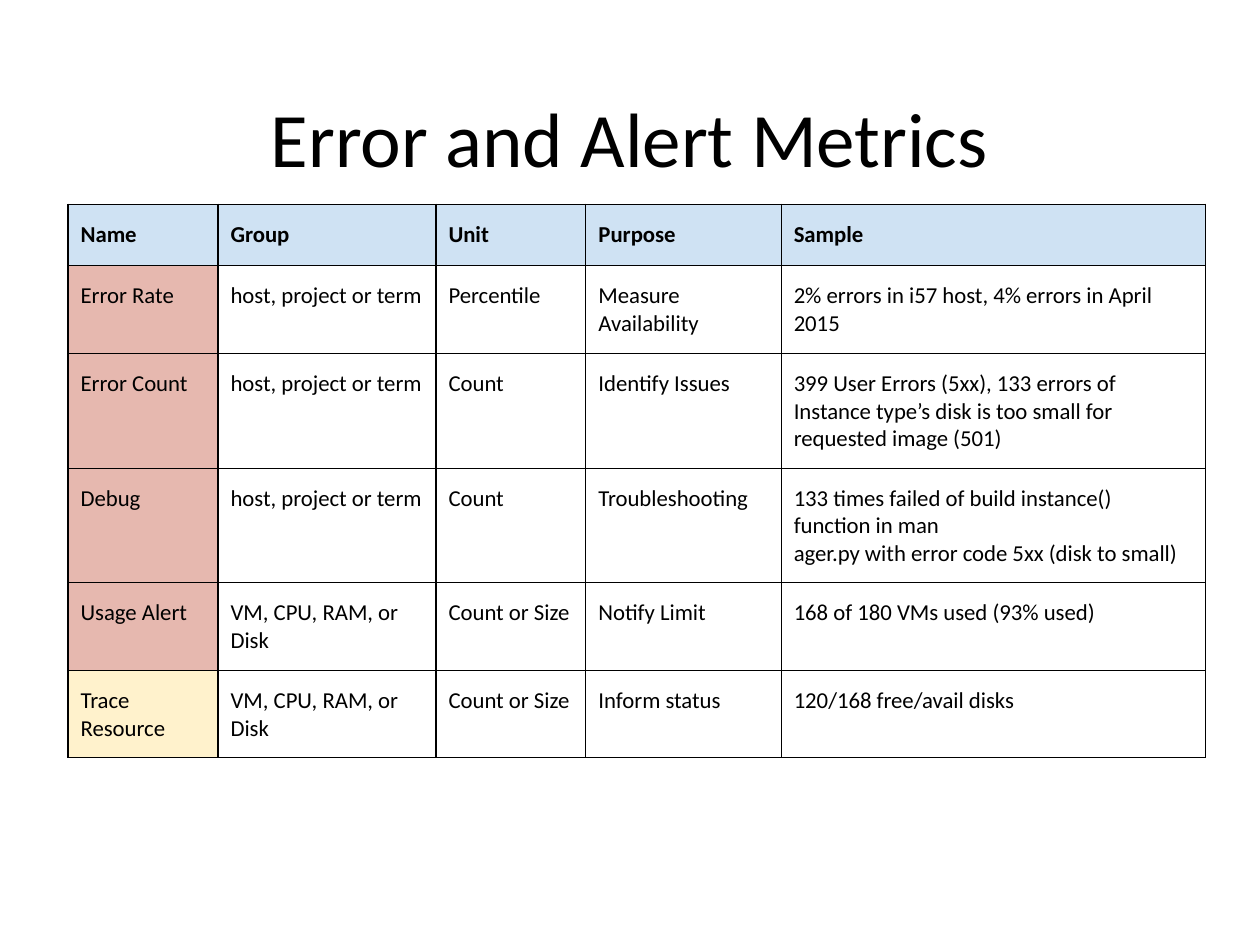
import pptx
import pptx.dml.color
import pptx.enum.text
import pptx.oxml
import pptx.oxml.ns
import pptx.util

THEME = {
    "font": "Calibri", "title": 44, "body": 13,
    "ink": "000000", "header": "CFE2F3", "error": "E6B8AF", "trace": "FFF2CC",
    "border": 0.75,
}
COLS = [1.19, 1.73, 1.19, 1.55, 3.37]
ROWS = [0.49, 0.49, 0.71, 0.71, 0.49, 0.49]
METRICS = [
    ["Name", "Group", "Unit", "Purpose", "Sample"],
    ["Error Rate", "host, project or term", "Percentile", "Measure Availability",
     "2% errors in i57 host, 4% errors in April 2015"],
    ["Error Count", "host, project or term", "Count", "Identify Issues",
     "399 User Errors (5xx), 133 errors of Instance type’s disk is too small "
     "for requested image (501)"],
    ["Debug", "host, project or term", "Count", "Troubleshooting",
     "133 times failed of build instance() function in man\n"
     "ager.py with error code 5xx (disk to small)"],
    ["Usage Alert", "VM, CPU, RAM, or Disk", "Count or Size", "Notify Limit",
     "168 of 180 VMs used (93% used)"],
    ["Trace Resource", "VM, CPU, RAM, or Disk", "Count or Size", "Inform status",
     "120/168 free/avail disks"],
]
NAME_FILLS = ["header"] + ["error"] * 4 + ["trace"]
Inches, Pt = pptx.util.Inches, pptx.util.Pt
RGB = pptx.dml.color.RGBColor.from_string


def format_text(tf, size, bold=False):
    values = {"name": THEME["font"], "size": Pt(size), "bold": bold}
    for p in tf.paragraphs:
        for r in p.runs:
            for key, value in values.items():
                setattr(r.font, key, value)
            r.font.color.rgb = RGB(THEME["ink"])


def add_borders(cell):
    tcPr = cell._tc.get_or_add_tcPr()
    for side in "LRTB":
        tcPr.append(pptx.oxml.parse_xml(
            f'<a:ln{side} {pptx.oxml.ns.nsdecls("a")} w="{Pt(THEME["border"])}">'
            f'<a:solidFill><a:srgbClr val="{THEME["ink"]}"/></a:solidFill>'
            f'</a:ln{side}>'))


prs = pptx.Presentation()
prs.slide_width, prs.slide_height = Inches(10), Inches(7.5)
s = prs.slides.add_slide(prs.slide_layouts[6])

# Title
sp = s.shapes.add_textbox(Inches(0.5), Inches(0.3), Inches(9), Inches(1.25))
tf = sp.text_frame
title_format = {
    "word_wrap": True, "vertical_anchor": pptx.enum.text.MSO_ANCHOR.BOTTOM,
    "margin_left": Inches(0.1), "margin_right": Inches(0.1),
    "margin_top": Inches(0.1), "margin_bottom": Inches(0.1),
}
for key, value in title_format.items():
    setattr(tf, key, value)
tf.text = "Error and Alert Metrics"
tf.paragraphs[0].alignment = pptx.enum.text.PP_ALIGN.CENTER
format_text(tf, THEME["title"])

# Metrics table
table = s.shapes.add_table(len(ROWS), len(COLS), Inches(0.54), Inches(1.62),
                           Inches(sum(COLS)), Inches(sum(ROWS))).table
table.first_row = table.horz_banding = False
for column, width in zip(table.columns, COLS):
    column.width = Inches(width)
for row, height in zip(table.rows, ROWS):
    row.height = Inches(height)

cell_format = {
    "margin_left": Inches(0.1), "margin_right": Inches(0.1),
    "margin_top": Inches(0.13), "margin_bottom": Inches(0.13),
}
for i, texts in enumerate(METRICS):
    for j, text in enumerate(texts):
        cell = table.cell(i, j)
        cell.text = text
        for key, value in cell_format.items():
            setattr(cell, key, value)
        format_text(cell.text_frame, THEME["body"], bold=i == 0)
        add_borders(cell)
        # Header row and name column are tinted
        if i == 0 or j == 0:
            cell.fill.solid()
            cell.fill.fore_color.rgb = RGB(THEME[NAME_FILLS[i]])
        else:
            cell.fill.background()

prs.save("out.pptx")
